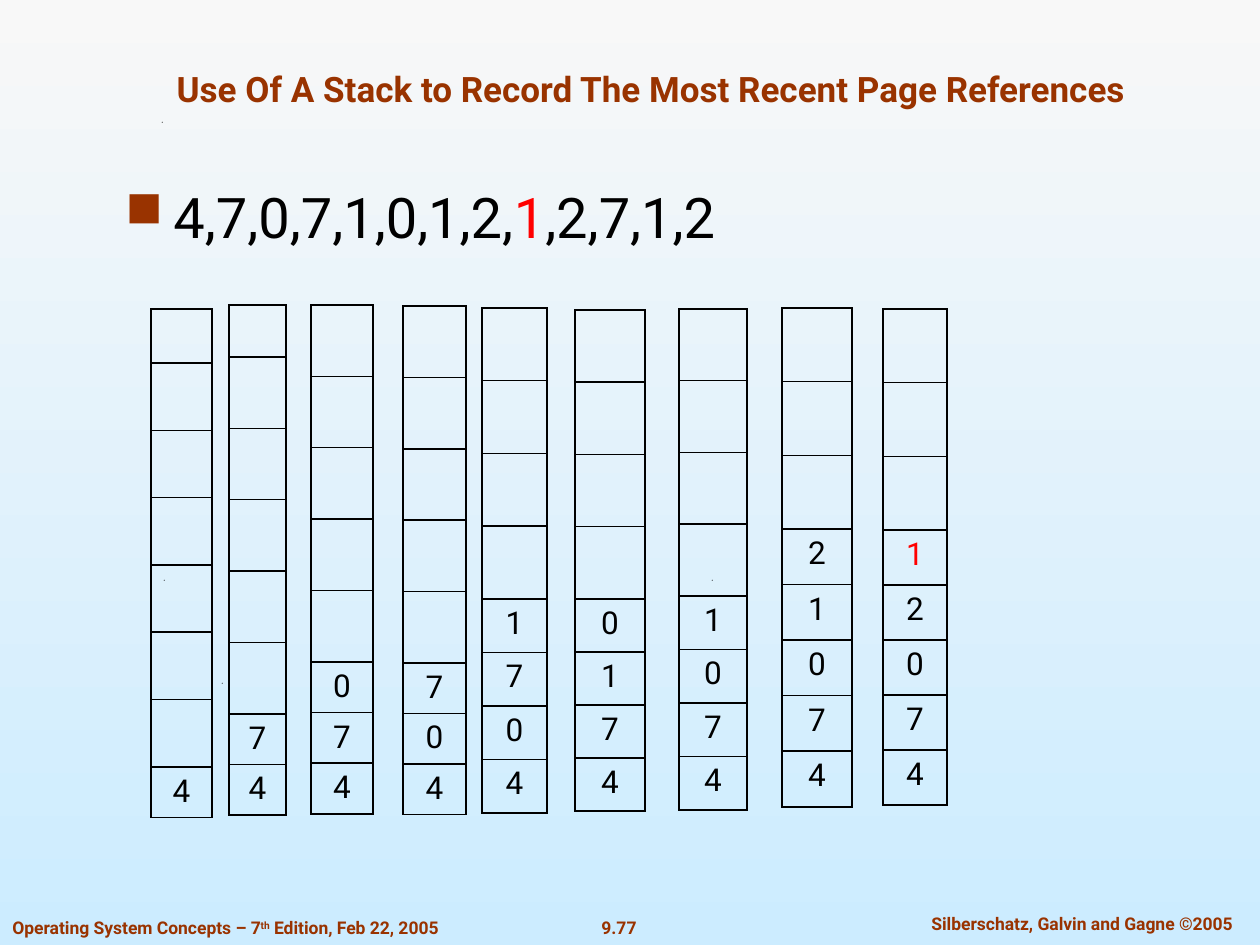
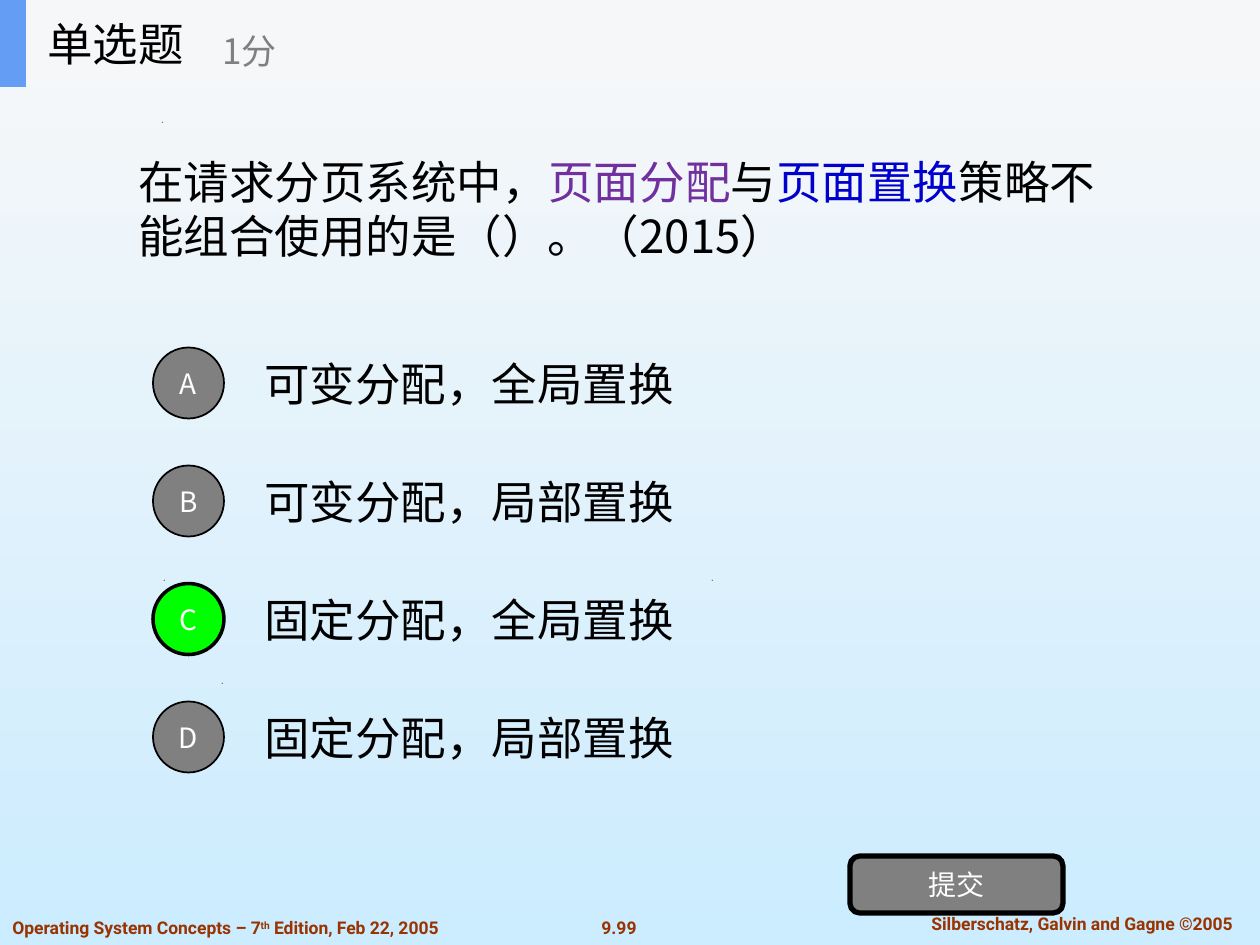
"""Build two operating-systems slides: page reference stacks and a quiz question."""
import pptx
import pptx.util
import pptx.dml.color
import pptx.enum.shapes
import pptx.enum.text
import pptx.oxml
import pptx.oxml.ns

RGBColor = pptx.dml.color.RGBColor
Shape = pptx.enum.shapes.MSO_SHAPE
Align = pptx.enum.text.PP_ALIGN
Anchor = pptx.enum.text.MSO_ANCHOR

BLACK = RGBColor(0x00, 0x00, 0x00)
WHITE = RGBColor(0xFF, 0xFF, 0xFF)
RUST = RGBColor(0x99, 0x33, 0x00)
RED = RGBColor(0xFF, 0x00, 0x00)
GRAY = RGBColor(0x80, 0x80, 0x80)
GREEN = RGBColor(0x00, 0xFF, 0x00)
PURPLE = RGBColor(0x70, 0x30, 0xA0)
BLUE = RGBColor(0x00, 0x00, 0xCC)
ACCENT = RGBColor(0x63, 0x9E, 0xF4)
HEADER = RGBColor(0xF6, 0xF7, 0xF8)
SKY_TOP = RGBColor(0xF8, 0xF8, 0xF8)
SKY_BOTTOM = RGBColor(0xCC, 0xEC, 0xFF)

LATIN = "Roboto"
CJK = "Noto Sans CJK SC"
PX_PER_INCH = 126
PAGE_WIDTH, PAGE_HEIGHT = 1260, 945

BOOK = [("Operating System Concepts – 7", {}), ("th", {"raised": True}),
        (" Edition, Feb 22, 2005", {})]
AUTHORS = "Silberschatz, Galvin and Gagne ©2005"
SPECKS = [(222, 683), (164, 580), (712, 580), (162, 122)]

STACK_TITLE = "Use Of A Stack to Record The Most Recent Page References"
REFERENCES = [("4,7,0,7,1,0,1,2,", {}), ("1", {"color": RED}), (",2,7,1,2", {})]
STACK_ROWS = 8
STACKS = [
    {"pages": "4", "left": 151, "width": 61, "top": 309, "filled": 767, "bottom": 817, "first": 54},
    {"pages": "74", "left": 229, "width": 57, "top": 305, "filled": 714, "bottom": 815, "first": 52},
    {"pages": "074", "left": 311, "width": 62, "top": 305, "filled": 662, "bottom": 814},
    {"pages": "704", "left": 403, "width": 63, "top": 306, "filled": 663, "bottom": 814},
    {"pages": "1704", "left": 482, "width": 65, "top": 308, "filled": 599, "bottom": 813},
    {"pages": "0174", "left": 575, "width": 70, "top": 310, "filled": 599, "bottom": 811},
    {"pages": "1074", "left": 679, "width": 68, "top": 309, "filled": 596, "bottom": 810},
    {"pages": "21074", "left": 782, "width": 70, "top": 308, "filled": 529, "bottom": 807},
    {"pages": "12074", "left": 883, "width": 64, "top": 309, "filled": 530, "bottom": 805,
     "top_color": RED},
]

QUESTION = [("在请求分页系统中，", {}), ("页面分配", {"color": PURPLE}), ("与", {}),
            ("页面置换", {"color": BLUE}), ("策略不能组合使用的是（）。（2015）", {})]
OPTIONS = [("A", "可变分配，全局置换"), ("B", "可变分配，局部置换"),
           ("C", "固定分配，全局置换"), ("D", "固定分配，局部置换")]
ANSWER = "C"
OPTION_TOP, OPTION_STEP, OPTION_HEIGHT, CIRCLE = 339, 118, 88, 71


def px(length):
    return pptx.util.Emu(round(length * 914400 / PX_PER_INCH))


def element(tag, inner="", **attributes):
    pairs = " ".join(f'{name}="{value}"' for name, value in attributes.items())
    return pptx.oxml.parse_xml(
        f'<a:{tag} {pptx.oxml.ns.nsdecls("a")} {pairs}>{inner}</a:{tag}>')


def write(frame, text, size=18, color=BLACK, font=LATIN, bold=False,
          align=Align.LEFT, bullet=False):
    para = frame.paragraphs[0]
    para.alignment = align
    if bullet:
        properties = para._p.get_or_add_pPr()
        indent = px(48)
        properties.set("marL", str(indent))
        properties.set("indent", str(-indent))
        properties.append(element("buClr", f'<a:srgbClr val="{RUST}"/>'))
        properties.append(element("buSzPct", val=90000))
        properties.append(element("buChar", char="■"))
    for words, changes in ([(text, {})] if isinstance(text, str) else text):
        span = para.add_run()
        span.text = words
        span.font.size = pptx.util.Pt(size)
        span.font.bold = bold
        span.font.color.rgb = changes.get("color", color)
        span.font.name = font
        properties = span._r.get_or_add_rPr()
        properties.append(element("ea", typeface=font))
        if changes.get("raised"):
            properties.set("baseline", "30000")


def add_text(page, place, text, anchor=Anchor.TOP, tight=False, **style):
    frame = page.shapes.add_textbox(*map(px, place)).text_frame
    frame.word_wrap = True
    frame.vertical_anchor = anchor
    if tight:
        frame.margin_left = frame.margin_right = 0
    write(frame, text, **style)


def add_block(page, kind, place, fill, line=0, label=""):
    block = page.shapes.add_shape(kind, *map(px, place))
    block.shadow.inherit = False
    block.fill.solid()
    block.fill.fore_color.rgb = fill
    if line:
        block.line.color.rgb = BLACK
        block.line.width = pptx.util.Pt(line)
    else:
        block.line.fill.background()
    if label:
        frame = block.text_frame
        frame.margin_left = frame.margin_right = 0
        frame.vertical_anchor = Anchor.MIDDLE
        write(frame, label, size=16, color=WHITE, font=CJK, align=Align.CENTER)
    return block


def add_page(deck, number):
    page = deck.slides.add_slide(deck.slide_layouts[6])
    sky = page.background.fill
    sky.gradient()
    sky.gradient_angle = 270
    for stop, color, position in zip(sky.gradient_stops, (SKY_TOP, SKY_BOTTOM), (0, 1)):
        stop.color.rgb = color
        stop.position = position
    for left, top in SPECKS:
        outline = page.shapes.build_freeform(px(left), px(top), scale=1)
        outline.add_line_segments([(px(left + 1), px(top)), (px(left), px(top + 1))])
        speck = outline.convert_to_shape()
        speck.shadow.inherit = False
        speck.fill.solid()
        speck.fill.fore_color.rgb = BLACK
        speck.line.fill.background()
    footer = {"size": 10, "color": RUST, "bold": True}
    add_text(page, (588, 911, 62, 34), number, tight=True, align=Align.CENTER, **footer)
    add_text(page, (895, 907, 374, 34), AUTHORS, align=Align.CENTER, **footer)
    add_text(page, (0, 911, 476, 34), BOOK, **footer)
    return page


def add_stack(page, pages, left, width, top, filled, bottom, first=None, top_color=BLACK):
    empty = STACK_ROWS - len(pages)
    first = first or (filled - top) / empty
    heights = [first] + [(filled - top - first) / max(empty - 1, 1)] * (empty - 1)
    heights += [(bottom - filled) / len(pages)] * len(pages)
    table = page.shapes.add_table(
        STACK_ROWS, 1, *map(px, (left, top, width, bottom - top))).table
    table.first_row = table.horz_banding = False
    for index, height in enumerate(heights):
        table.rows[index].height = px(height)
        cell = table.cell(index, 0)
        cell.fill.background()
        for position, side in enumerate(("lnL", "lnR", "lnT", "lnB")):
            border = element(side, f'<a:solidFill><a:srgbClr val="{BLACK}"/></a:solidFill>',
                             w=pptx.util.Pt(1))
            cell._tc.get_or_add_tcPr().insert(position, border)
        if index >= empty:
            write(cell.text_frame, pages[index - empty], align=Align.CENTER,
                  color=top_color if index == empty else BLACK)


def build_stacks(deck):
    page = add_page(deck, "9.77")
    add_text(page, (95, 32, 1112, 84), STACK_TITLE, anchor=Anchor.BOTTOM,
             size=20, color=RUST, bold=True, align=Align.CENTER)
    add_text(page, (113, 176, 1013, 92), REFERENCES, size=32, bullet=True)
    for stack in STACKS:
        add_stack(page, **stack)


def build_quiz(deck):
    page = add_page(deck, "9.99")
    middle = {"anchor": Anchor.MIDDLE, "font": CJK}
    add_text(page, (126, 102, 1008, 213), QUESTION, size=26, **middle)
    for index, (letter, choice) in enumerate(OPTIONS):
        top = OPTION_TOP + index * OPTION_STEP
        add_text(page, (252, top, 882, OPTION_HEIGHT), choice, size=26, **middle)
        right = letter == ANSWER
        circle_top = top + (OPTION_HEIGHT - CIRCLE) / 2
        add_block(page, Shape.OVAL, (153, circle_top, CIRCLE, CIRCLE),
                  GREEN if right else GRAY, line=2 if right else 1, label=letter)
    button = add_block(page, Shape.ROUNDED_RECTANGLE, (850, 856, 213, 57), GRAY,
                       line=3, label="提交")
    button.adjustments[0] = 0.17
    add_block(page, Shape.RECTANGLE, (0, 0, PAGE_WIDTH, 87), HEADER)
    add_block(page, Shape.RECTANGLE, (0, 0, 26, 87), ACCENT)
    add_text(page, (35, 0, 262, 87), "单选题", size=26, **middle)
    add_text(page, (210, 15, 315, 71), "1分", size=20, color=GRAY, **middle)


def main():
    deck = pptx.Presentation()
    deck.slide_width, deck.slide_height = px(PAGE_WIDTH), px(PAGE_HEIGHT)
    build_stacks(deck)
    build_quiz(deck)
    deck.save("out.pptx")


if __name__ == "__main__":
    main()
